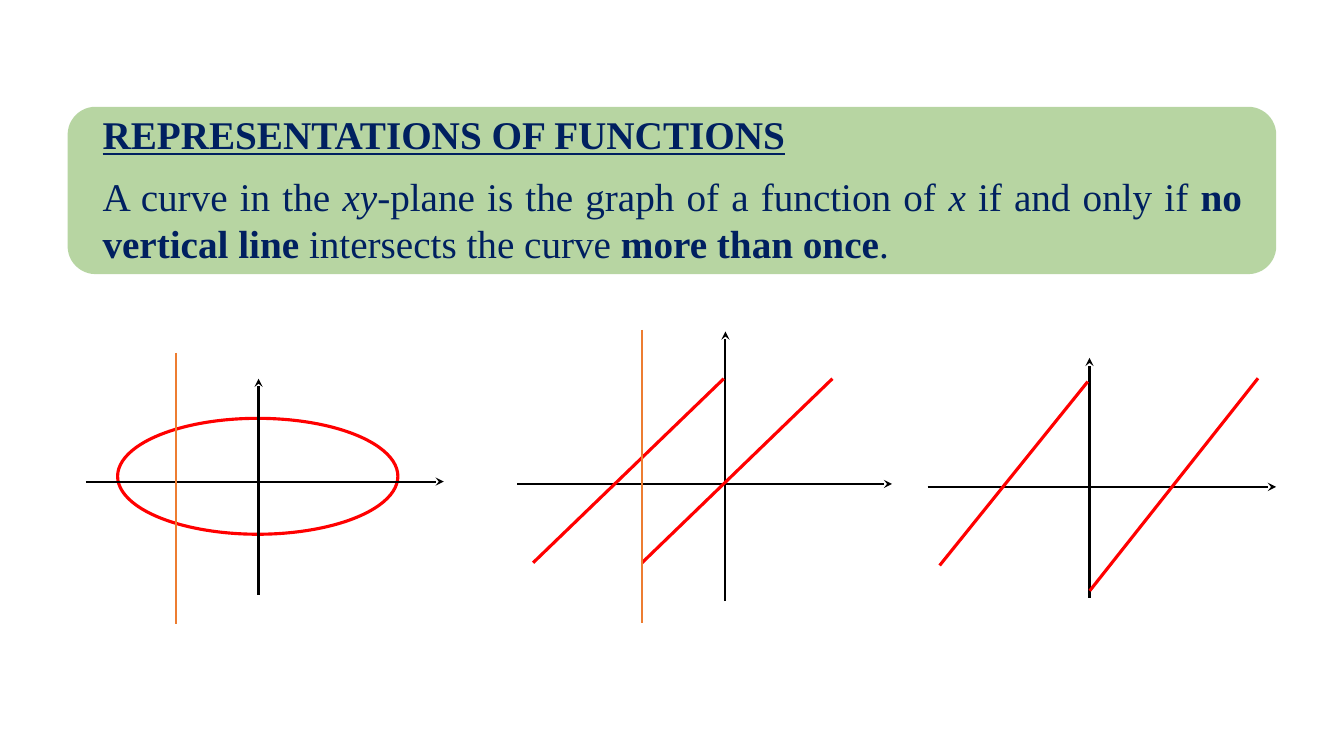
"""Build a slide on the vertical line test with three example graphs."""
from lxml.etree import SubElement
from pptx import Presentation
from pptx.dml.color import RGBColor
from pptx.enum.shapes import MSO_CONNECTOR, MSO_SHAPE
from pptx.enum.text import PP_ALIGN
from pptx.oxml.ns import qn
from pptx.util import Pt

BLACK = RGBColor(0x00, 0x00, 0x00)
NAVY = RGBColor(0x00, 0x20, 0x60)
GREEN = RGBColor(0x70, 0xAD, 0x47)
RED = RGBColor(0xFF, 0x00, 0x00)
ORANGE = RGBColor(0xED, 0x7D, 0x31)

presentation = Presentation()
presentation.slide_width = Pt(960)
presentation.slide_height = Pt(540)
slide = presentation.slides.add_slide(presentation.slide_layouts[6])


def add_line(start, end, color, width, arrow=False):
    points = [Pt(value) for value in (*start, *end)]
    line = slide.shapes.add_connector(MSO_CONNECTOR.STRAIGHT, *points)
    line.line.color.rgb = color
    line.line.width = Pt(width)
    if arrow:
        SubElement(line.line._get_or_add_ln(), qn("a:tailEnd"), type="stealth")
    SubElement(line._element.spPr, qn("a:effectLst"))


panel = slide.shapes.add_shape(
    MSO_SHAPE.ROUNDED_RECTANGLE, Pt(48.3), Pt(76.3), Pt(863.3), Pt(119.5))
panel.shadow.inherit = False
panel.fill.solid()
panel.fill.fore_color.rgb = GREEN
panel_color = panel.fill._xPr.find(qn("a:solidFill"))[0]
SubElement(panel_color, qn("a:alpha"), val="50000")
panel.line.fill.background()

text_box = slide.shapes.add_textbox(Pt(66.2), Pt(79.2), Pt(828), Pt(407.5))
text_frame = text_box.text_frame
text_frame.word_wrap = True
heading = text_frame.paragraphs[0]
heading.text = "REPRESENTATIONS OF FUNCTIONS"
heading.line_spacing = 0.9
heading.font.bold = True
heading.font.underline = True

statement = text_frame.add_paragraph()
statement.alignment = PP_ALIGN.JUSTIFY
statement.space_before = Pt(10)
for words, style in [
    ("A curve in the ", "plain"),
    ("xy", "italic"),
    ("-plane is the graph of a function of ", "plain"),
    ("x ", "italic"),
    ("if and only if ", "plain"),
    ("no vertical line", "bold"),
    (" intersects the curve ", "plain"),
    ("more than once", "bold"),
    (".", "plain"),
]:
    run = statement.add_run()
    run.text = words
    run.font.bold = style == "bold"
    run.font.italic = style == "italic"

for paragraph in text_frame.paragraphs:
    paragraph.font.name = "Times New Roman"
    paragraph.font.size = Pt(28)
    paragraph.font.color.rgb = NAVY

ellipse = slide.shapes.add_shape(
    MSO_SHAPE.OVAL, Pt(84), Pt(298.8), Pt(200.2), Pt(82.8))
ellipse.shadow.inherit = False
ellipse.fill.background()
ellipse.line.color.rgb = RED
ellipse.line.width = Pt(2.25)

for left, right, axis_y, axis_x, bottom, top in [
    (61.3, 317, 344, 184.7, 425, 270.5),
    (369.3, 637.2, 345.7, 518.2, 429.4, 236.8),
    (662.6, 911.5, 347.8, 778.2, 427, 255.6),
]:
    add_line((left, axis_y), (right, axis_y), BLACK, 1.5, arrow=True)
    add_line((axis_x, bottom), (axis_x, top), BLACK, 1.5, arrow=True)

for start, end in [
    ((380.8, 402), (517, 270.5)),
    ((458.6, 402), (594.6, 270.5)),
    ((671.2, 403.9), (777, 272.6)),
    ((778.4, 422), (898.6, 270.2)),
]:
    add_line(start, end, RED, 2.25)

for test_x, top, bottom in [(458.6, 235.6, 445), (125.9, 252, 445.6)]:
    add_line((test_x, top), (test_x, bottom), ORANGE, 1.5)

presentation.save("out.pptx")
